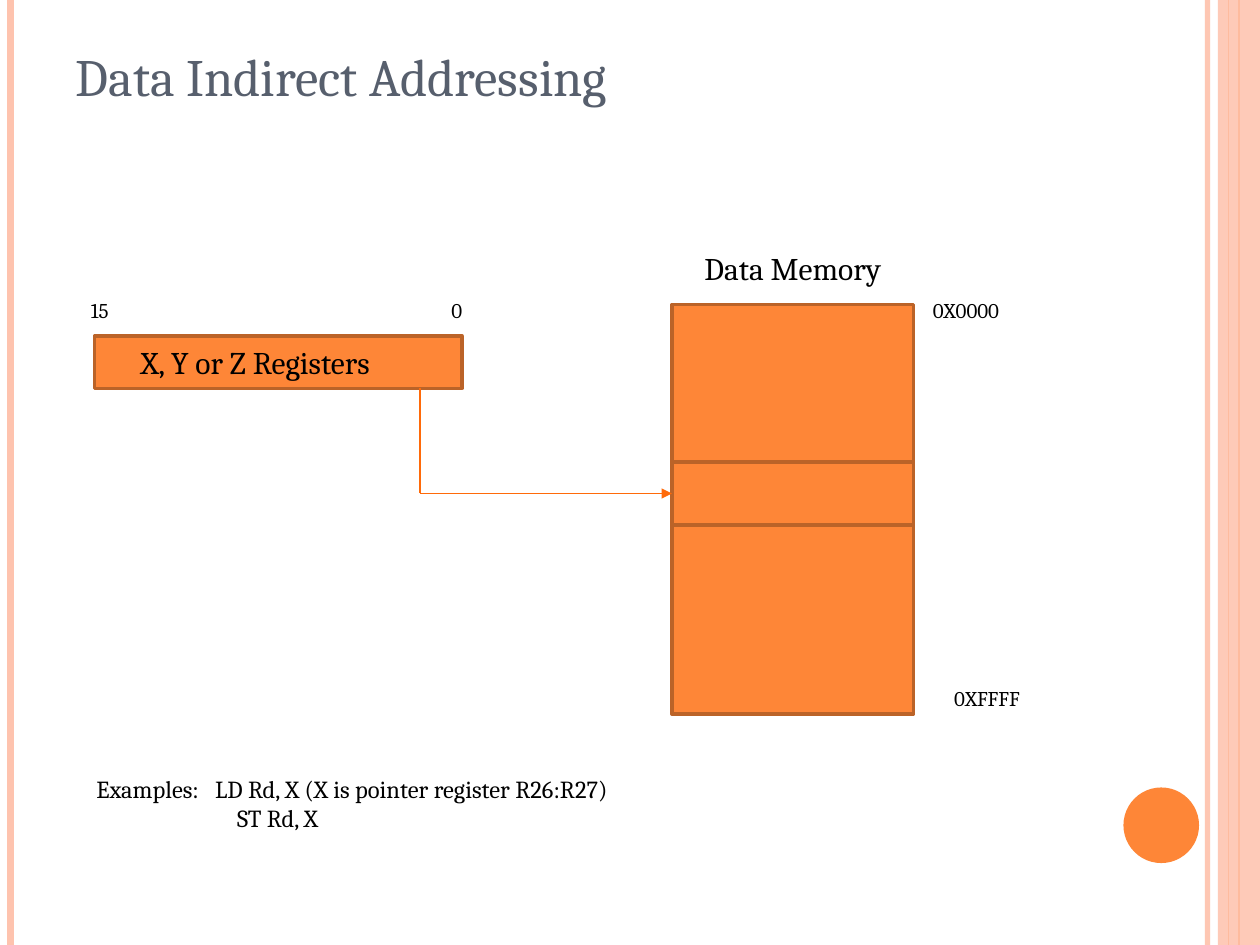
from dataclasses import dataclass

from pptx import Presentation
from pptx.dml.color import RGBColor
from pptx.enum.shapes import MSO_CONNECTOR, MSO_SHAPE
from pptx.enum.text import MSO_ANCHOR, MSO_AUTO_SIZE, PP_ALIGN
from pptx.oxml.ns import qn
from pptx.oxml.xmlchemy import OxmlElement
from pptx.util import Pt

STRAIGHT = MSO_CONNECTOR.STRAIGHT
RECT, OVAL = MSO_SHAPE.RECTANGLE, MSO_SHAPE.OVAL
TOP, MIDDLE = MSO_ANCHOR.TOP, MSO_ANCHOR.MIDDLE
LEFT, CENTER = PP_ALIGN.LEFT, PP_ALIGN.CENTER
FIXED_SIZE = MSO_AUTO_SIZE.NONE
PX = 7620  # EMU per px, 120 px to the inch


@dataclass
class Theme:
    font: str = "Cambria"
    ink: str = "000000"
    heading: str = "575F6D"
    orange: str = "FE8637"
    outline: str = "BB6328"
    arrow: str = "FF6A09"
    pale: str = "FEC3AE"
    title_size: int = 30
    label_size: int = 18
    example_size: int = 14
    small_size: int = 12


theme = Theme()


def add_line(start, end, color, width):
    line = page.shapes.add_connector(STRAIGHT, *(v * PX for v in start + end))
    line.line.color.rgb = RGBColor.from_string(color)
    line.line.width = Pt(width)
    line._element.spPr.append(OxmlElement("a:effectLst"))
    return line


def write(box, text, size, color=theme.ink, align=CENTER, anchor=MIDDLE):
    frame = box.text_frame
    frame.word_wrap = True
    frame.auto_size = FIXED_SIZE
    frame.vertical_anchor = anchor
    para = frame.paragraphs[0]
    para.alignment = align
    span = para.add_run()
    span.text = text
    span.font.name = theme.font
    span.font.size = Pt(size)
    span.font.color.rgb = RGBColor.from_string(color)


deck = Presentation()
deck.slide_width, deck.slide_height = 1200 * PX, 900 * PX
page = deck.slides.add_slide(deck.slide_layouts[5])

# Side stripes: x, colour, width in points
stripes = [
    add_line((x, 0), (x, 900), color, width)
    for x, color, width in (
        (1150, theme.pale, 3),
        (10, theme.pale, 4.5),
        (1180, theme.orange, 1.5),
        (1170, theme.orange, 0.75),
    )
]

# Filled shapes: preset, place, fill, outline
band, dot, register, memory, cell = shapes = [
    page.shapes.add_shape(kind, *(v * PX for v in place))
    for kind, place in (
        (RECT, (1160, 0, 40, 900)),
        (OVAL, (1070, 750, 72, 72)),
        (RECT, (90, 320, 350, 50)),
        (RECT, (640, 290, 230, 390)),
        (RECT, (640, 440, 230, 60)),
    )
]
for shape in shapes:
    shape.shadow.inherit = False
    shape.fill.solid()
    shape.fill.fore_color.rgb = RGBColor.from_string(theme.orange)
    if shape in (band, dot):
        shape.line.fill.background()
    else:
        shape.line.color.rgb = RGBColor.from_string(theme.outline)
        shape.line.width = Pt(2)
band.fill.fore_color.rgb = RGBColor.from_string(theme.pale)

# Slight transparency on the right-hand edge
for shape, opacity in ((stripes[0], 93), (band, 87)):
    alpha = OxmlElement("a:alpha")
    alpha.set("val", str(opacity * 1000))
    next(shape._element.spPr.iter(qn("a:srgbClr"))).append(alpha)

# Title
title = page.shapes.title
title.left, title.top, title.width, title.height = (v * PX for v in (60, 36, 980, 150))
write(title, "Data Indirect Addressing", theme.title_size, theme.heading, LEFT, TOP)

# Register text, indented from the left edge
register.text_frame.margin_left = 44 * PX
write(register, "X, Y or Z Registers", theme.label_size, align=LEFT)

# Pointer from the register to the memory cell
add_line((400, 370), (400, 470), theme.arrow, 1)
pointer = add_line((400, 470), (640, 470), theme.arrow, 1)
arrowhead = OxmlElement("a:tailEnd")
arrowhead.set("type", "triangle")
pointer.line._get_or_add_ln().append(arrowhead)

# Bit numbers, memory heading and addresses
for text, x, y, width, size in (
    ("0", 410, 270, 50, theme.small_size),
    ("15", 70, 270, 50, theme.small_size),
    ("Data Memory", 640, 230, 230, theme.label_size),
    ("0XFFFF", 870, 640, 140, theme.small_size),
    ("0X0000", 870, 270, 100, theme.small_size),
):
    label = page.shapes.add_textbox(x * PX, y * PX, width * PX, 50 * PX)
    write(label, text, size)

# Examples, each instruction set at its own tab stop
examples = page.shapes.add_textbox(80 * PX, 700 * PX, 860 * PX, 130 * PX)
examples.text_frame.word_wrap = True
examples.text_frame.vertical_anchor = MIDDLE
for number, (text, stop) in enumerate((
    ("Examples:\tLD Rd, X (X is pointer register R26:R27)", 113),
    ("\tST Rd, X", 134),
)):
    frame = examples.text_frame
    para = frame.add_paragraph() if number else frame.paragraphs[0]
    tabs = OxmlElement("a:tabLst")
    tab = OxmlElement("a:tab")
    tab.set("pos", str(stop * PX))
    tab.set("algn", "l")
    tabs.append(tab)
    para._p.get_or_add_pPr().append(tabs)
    span = para.add_run()
    span.text = text
    span.font.name = theme.font
    span.font.size = Pt(theme.example_size)
    span.font.color.rgb = RGBColor.from_string(theme.ink)

deck.save("out.pptx")
